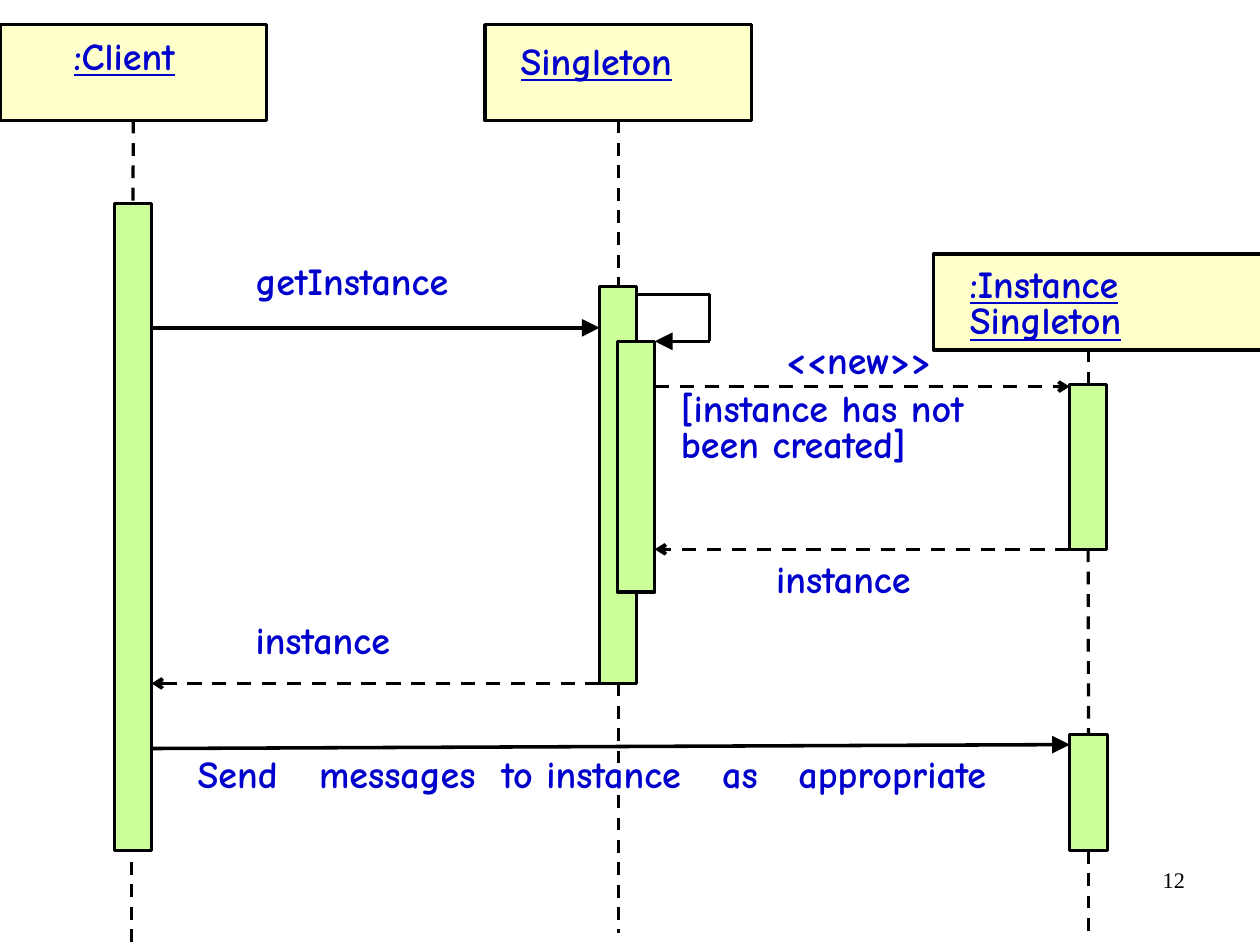
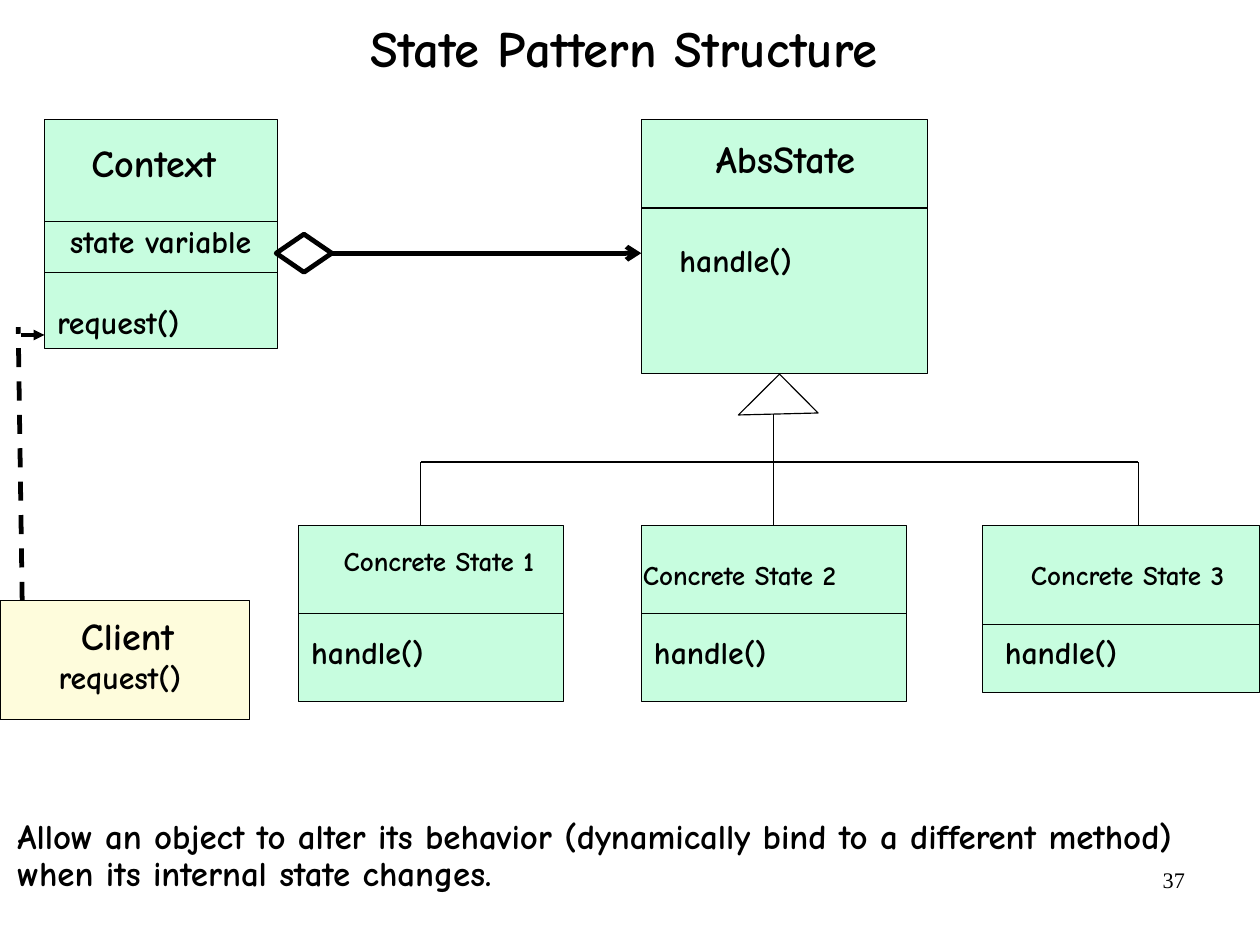
from dataclasses import dataclass

import pptx
import pptx.util
import pptx.dml.color
import pptx.enum.dml
import pptx.enum.shapes
import pptx.enum.text
import pptx.oxml
import pptx.oxml.ns

Pt = pptx.util.Pt
SHAPE = pptx.enum.shapes.MSO_SHAPE
ALIGN = pptx.enum.text.PP_ALIGN
ANCHOR = pptx.enum.text.MSO_ANCHOR
TOP, LEFT, BOTTOM, RIGHT = range(4)


@dataclass(frozen=True)
class Theme:
    font: str = "Comic Neue"
    number_font: str = "Times New Roman"
    ink: str = "000000"
    label: str = "0000CC"
    header: str = "FFFFCC"
    activation: str = "CCFF99"
    class_fill: str = "C7FDDF"
    client_fill: str = "FEFCDC"
    paper: str = "FFFFFF"
    title: float = 32
    heading: float = 24
    body: float = 22
    member: float = 20
    state: float = 17
    number: float = 14
    thin: float = 0.75
    frame: float = 2
    arrow: float = 2.25
    thick: float = 3


T = Theme()
WIDTH, HEIGHT = 793.75, 595.25


def rgb(code):
    return pptx.dml.color.RGBColor.from_string(code)


# Basic parts
def shape(s, kind, x, y, w, h, fill, weight=T.thin):
    sp = s.shapes.add_shape(kind, Pt(x), Pt(y), Pt(w), Pt(h))
    sp.shadow.inherit = False
    if fill:
        sp.fill.solid()
        sp.fill.fore_color.rgb = rgb(fill)
    else:
        sp.fill.background()
    sp.line.color.rgb = rgb(T.ink)
    sp.line.width = Pt(weight)
    return sp


def text(s, x, y, w, content, size, color=T.ink, font=T.font, bold=True,
         underline=False, align=ALIGN.LEFT, spacing=None, lines=1, tabs=()):
    h = lines * size * 1.2 + 9
    tf = s.shapes.add_textbox(Pt(x), Pt(y), Pt(w), Pt(h)).text_frame
    tf.word_wrap = True
    tf.margin_left = tf.margin_right = Pt(8)
    tf.margin_top = tf.margin_bottom = Pt(4)
    tf.text = content
    for p in tf.paragraphs:
        p.alignment = align
        if spacing:
            p.line_spacing = spacing
        if tabs:
            stops = pptx.oxml.parse_xml("<a:tabLst %s/>" % pptx.oxml.ns.nsdecls("a"))
            for stop in tabs:
                stops.append(stops.makeelement(pptx.oxml.ns.qn("a:tab"),
                                               {"pos": str(Pt(stop)), "algn": "l"}))
            p._p.get_or_add_pPr().append(stops)
        for r in p.runs:
            r.font.name, r.font.size = font, Pt(size)
            r.font.bold, r.font.underline = bold, underline
            r.font.color.rgb = rgb(color)
    return tf


def line(s, x1, y1, x2, y2, weight=T.thin, dash=False, head=None,
         head_size="med", begin=None, end=None):
    """begin and end are (shape, side) pairs to which the line is joined."""
    cx = s.shapes.add_connector(pptx.enum.shapes.MSO_CONNECTOR.STRAIGHT,
                                Pt(x1), Pt(y1), Pt(x2), Pt(y2))
    cx.line.color.rgb = rgb(T.ink)
    cx.line.width = Pt(weight)
    if dash:
        cx.line.dash_style = pptx.enum.dml.MSO_LINE.DASH
    ns = pptx.oxml.ns.nsdecls("a")
    if head:
        cx.line._get_or_add_ln().append(pptx.oxml.parse_xml(
            f'<a:tailEnd {ns} type="{head}" w="{head_size}" len="{head_size}"/>'))
    cx._element.spPr.append(pptx.oxml.parse_xml("<a:effectLst %s/>" % ns))
    if begin:
        cx.begin_connect(*begin)
    if end:
        cx.end_connect(*end)


def new_slide(prs, number):
    s = prs.slides.add_slide(prs.slide_layouts[6])
    s.background.fill.solid()
    s.background.fill.fore_color.rgb = rgb(T.paper)
    text(s, 569.5, 541.5, 185, number, T.number, font=T.number_font,
         bold=False, align=ALIGN.RIGHT)
    return s


# Sequence diagram parts
def participant(s, x, y, w, label, dx, dy, label_w, lines=1):
    sp = shape(s, SHAPE.RECTANGLE, x, y, w, 60.5, T.header, T.frame)
    text(s, x + dx, y + dy, label_w, label, T.heading, T.label,
         underline=True, spacing=0.8, lines=lines)
    return sp


def activation(s, x, y, h):
    return shape(s, SHAPE.RECTANGLE, x, y, 23.5, h, T.activation, T.frame)


def lifeline(s, x, y1, y2, begin=None, end=None):
    line(s, x, y1, x, y2, T.frame, True,
         begin=begin and (begin, BOTTOM), end=end and (end, TOP))


def sequence_slide(prs):
    s = new_slide(prs, "12")

    # Participants
    client = participant(s, 0, 15.5, 168, ":Client", 38.5, 6.5, 115)
    singleton = participant(s, 305.5, 15.5, 168, "Singleton", 14.5, 9.5, 127)
    participant(s, 588, 160, 221, ":Instance Singleton", 15, 5.5, 190, 2)

    # Activation bars
    client_bar = activation(s, 72, 128, 408)
    singleton_bar = activation(s, 377.75, 180.5, 250)
    activation(s, 389, 215, 158)
    new_bar = activation(s, 673.75, 242, 104)
    used_bar = activation(s, 674, 462.5, 73.5)

    # Lifelines
    lifeline(s, 83.75, 76, 128, client, client_bar)
    lifeline(s, 83, 543, HEIGHT)
    lifeline(s, 389.5, 76, 180.5, singleton, singleton_bar)
    lifeline(s, 389.5, 430.5, 588, singleton_bar)
    lifeline(s, 685.5, 220, 242, end=new_bar)
    lifeline(s, 685.5, 346, 462.5, new_bar, used_bar)
    lifeline(s, 685.75, 536, 588, used_bar)

    # Messages
    for x1, y1, x2, y2, dash, head in [
            (95.5, 206.5, 377.75, 206.5, False, "triangle"),
            (401.25, 185.5, 447, 185.5, False, None),
            (447, 185.5, 447, 215, False, None),
            (447, 215, 412.5, 215, False, "triangle"),
            (412.5, 243.5, 673.75, 243.5, True, "arrow"),
            (673.75, 346, 412.5, 346, True, "arrow"),
            (377.75, 430.5, 95.5, 430.5, True, "arrow"),
            (95.5, 471.5, 674, 469, False, "triangle")]:
        line(s, x1, y1, x2, y2, T.arrow, dash, head,
             "lg" if head == "triangle" else "med")

    # Message labels
    for x, y, w, label, lines, tabs in [
            (153, 164, 168, "getInstance", 1, ()),
            (421, 243.5, 244, "[instance has not been created]", 2, ()),
            (487, 213.5, 168, "<<new>>", 1, ()),
            (481, 351.5, 131, "instance", 1, ()),
            (153, 390, 131, "instance", 1, ()),
            (116.5, 474, 530, "Send\tmessages\tto instance\tas\tappropriate", 1,
             (76.5, 191.5, 330.5, 378.5))]:
        text(s, x, y, w, label, T.heading, T.label, spacing=0.8,
             lines=lines, tabs=tabs)


# Class diagram parts
def class_box(s, x, y, w, h, name, size, dividers, members):
    """name and members are (text, dx, dy) from the corner of the box."""
    sp = shape(s, SHAPE.RECTANGLE, x, y, w, h, T.class_fill)
    for dy in dividers:
        middle = dy == h / 2
        line(s, x, y + dy, x + w, y + dy,
             begin=(sp, LEFT) if middle else None,
             end=(sp, RIGHT) if middle else None)
    for (label, dx, dy), pt in [(name, size)] + [(m, T.member) for m in members]:
        text(s, x + dx, y + dy, w - dx, label, pt)
    return sp


def client_box(s, x, y, w, h):
    shape(s, SHAPE.RECTANGLE, x, y, w, h, T.client_fill)
    tf = text(s, x, y + 3, w, "Client\nrequest()", T.heading, lines=2)
    for p, indent, size in zip(tf.paragraphs, (43, 29), (T.heading, T.member)):
        p._p.get_or_add_pPr().set("marL", str(Pt(indent)))
        p.runs[0].font.size = Pt(size)


def title(s, content):
    tf = text(s, 54.5, 0, 677, content, T.title, align=ALIGN.CENTER, spacing=0.88)
    tf.vertical_anchor = ANCHOR.BOTTOM
    tf.margin_left = tf.margin_right = tf.margin_top = tf.margin_bottom = 0
    s.shapes[-1].height = Pt(49)


def state_slide(prs):
    s = new_slide(prs, "37")
    title(s, "State Pattern Structure")

    # Client and its call
    client_box(s, 0, 378.5, 157, 75)
    line(s, 14, 378.5, 11.5, 206, T.thick, True)

    # Context and abstract state
    class_box(s, 28, 75.5, 147, 144, ("Context", 21.5, 8), T.heading, [64, 96],
              [("state variable", 8, 60), ("request()", 0, 111.5)])
    class_box(s, 404, 75.5, 180.5, 160, ("AbsState", 39, 6), T.heading, [55.5],
              [("handle()", 16, 72)])
    line(s, 13.5, 211, 28, 211, T.arrow, head="triangle")

    # Concrete states
    states = [class_box(s, x, 331, w, h, (f"Concrete State {i}", dx, dy), T.state,
                        [divider], [("handle()", member_dx, 63.5)])
              for i, (x, w, h, dx, dy, divider, member_dx) in enumerate([
                  (188, 167, 111, 20.5, 8, 55.5, 0),
                  (404, 167, 111, -7, 17, 55.5, 0),
                  (619, 174.5, 105, 22.5, 17, 62.5, 6)], 1)]

    # Aggregation
    diamond = shape(s, SHAPE.DIAMOND, 174, 147.5, 35, 24, T.paper, T.thick)
    line(s, 209, 159.5, 404, 159.5, T.thick, head="arrow", begin=(diamond, RIGHT))

    # Inheritance tree
    line(s, 265, 291, 717, 291)
    for x in (265, 717):
        line(s, x, 331, x, 291)
    line(s, 487.5, 331, 487.5, 260.5, begin=(states[1], TOP))
    arrowhead = shape(s, SHAPE.RIGHT_TRIANGLE, 472, 243.5, 36.5, 34.5, None)
    arrowhead.rotation = 135.2

    # Summary
    text(s, 3, 512, 790, "Allow an object to alter its behavior (dynamically bind to "
         "a different method) when its internal state changes.", T.body,
         spacing=0.9, lines=2)


def main():
    prs = pptx.Presentation()
    prs.slide_width, prs.slide_height = Pt(WIDTH), Pt(HEIGHT)
    sequence_slide(prs)
    state_slide(prs)
    prs.save("out.pptx")


if __name__ == "__main__":
    main()
